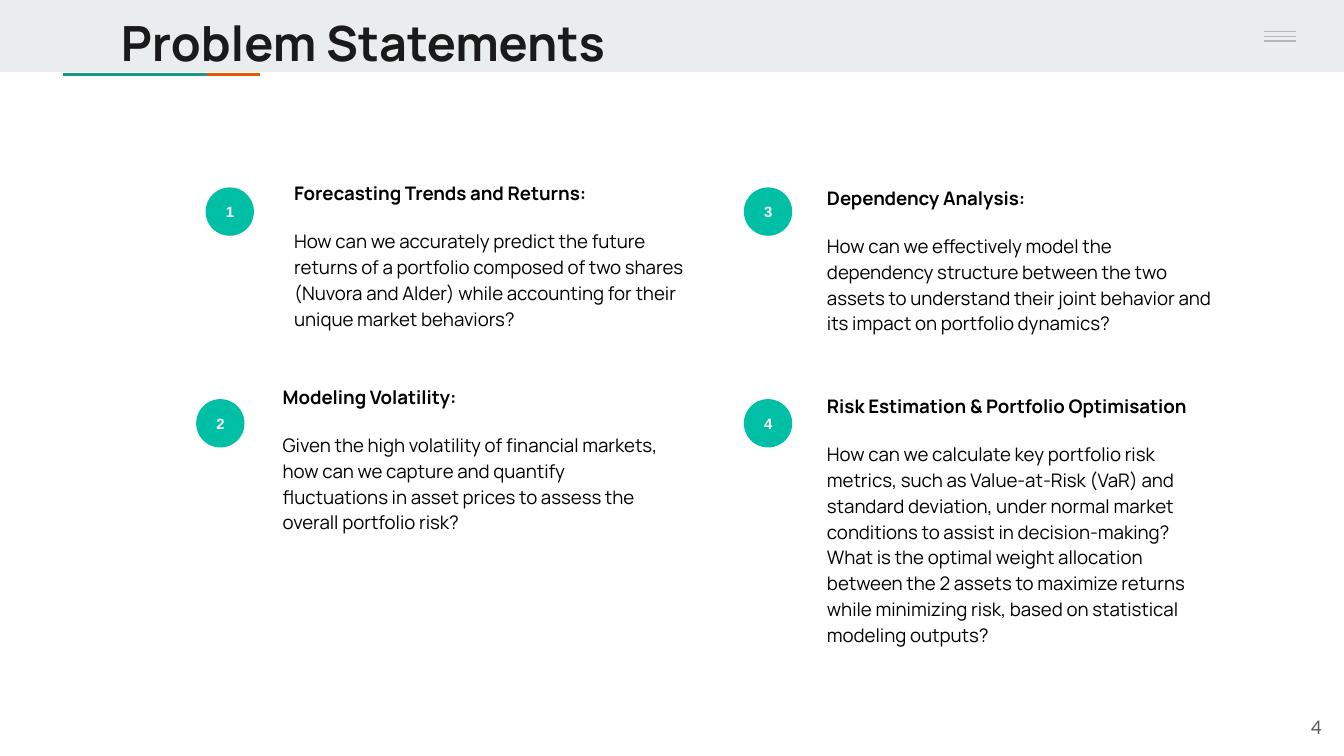
"""Build the Problem Statements slide."""
from dataclasses import dataclass

from lxml import etree
from pptx import Presentation
from pptx.dml.color import RGBColor
from pptx.enum.shapes import MSO_CONNECTOR, MSO_SHAPE
from pptx.enum.text import MSO_ANCHOR, MSO_AUTO_SIZE, PP_ALIGN
from pptx.oxml.ns import qn
from pptx.util import Emu, Pt

RECT, OVAL = MSO_SHAPE.RECTANGLE, MSO_SHAPE.OVAL
LINE = MSO_CONNECTOR.STRAIGHT
TOP, MIDDLE = MSO_ANCHOR.TOP, MSO_ANCHOR.MIDDLE
LEFT, CENTER, RIGHT = PP_ALIGN.LEFT, PP_ALIGN.CENTER, PP_ALIGN.RIGHT
FIXED = MSO_AUTO_SIZE.NONE
SCALE = 4572
WIDE, HIGH = 2000, 1125
PAD = 20
DOT = 72


@dataclass(frozen=True)
class Theme:
    """Colours, fonts and type sizes of the slide."""
    band: str = "E9EDEE"
    orange: str = "EB5600"
    green: str = "1A9988"
    rule: str = "B7B7B7"
    teal: str = "00BFA5"
    white: str = "FFFFFF"
    black: str = "000000"
    ink: str = "1A1A1A"
    grey: str = "595959"
    main: str = "Manrope"
    badge: str = "Arial"
    page: str = "Lato"
    title: int = 26
    body: int = 10
    small: int = 8


@dataclass(frozen=True)
class Box:
    """A place on the slide in px."""
    left: int
    top: int
    width: int
    height: int

    def emu(self) -> tuple:
        """Give the place in EMU."""
        return tuple(px(n) for n in (self.left, self.top, self.width, self.height))


@dataclass(frozen=True)
class Point:
    """A numbered problem with its badge and text."""
    dot: Box
    box: Box
    head: str
    text: str


THEME = Theme()
BARS = (
    (Box(0, 0, WIDE, 107), THEME.band),
    (Box(178, 109, 209, 4), THEME.orange),
    (Box(94, 109, 214, 4), THEME.green),
    (Box(1812, 0, 188, 100), THEME.band),
)
MENU = (47, 54, 61)
POINTS = (
    Point(Box(306, 279, DOT, DOT), Box(418, 246, 656, 246),
          "Forecasting Trends and Returns:",
          "How can we accurately predict the future returns of a portfolio "
          "composed of two shares (Nuvora and Alder) while accounting for "
          "their unique market behaviors?"),
    Point(Box(292, 594, DOT, DOT), Box(401, 549, 620, 230),
          "Modeling Volatility:",
          "Given the high volatility of financial markets, how can we capture "
          "and quantify fluctuations in asset prices to assess the overall "
          "portfolio risk?"),
    Point(Box(1107, 279, DOT, DOT), Box(1211, 253, 620, 230),
          "Dependency Analysis:",
          "How can we effectively model the dependency structure between the "
          "two assets to understand their joint behavior and its impact on "
          "portfolio dynamics?"),
    Point(Box(1107, 594, DOT, DOT), Box(1211, 563, 620, 230),
          "Risk Estimation & Portfolio Optimisation",
          "How can we calculate key portfolio risk metrics, such as "
          "Value-at-Risk (VaR) and standard deviation, under normal market "
          "conditions to assist in decision-making? What is the optimal weight "
          "allocation between the 2 assets to maximize returns while "
          "minimizing risk, based on statistical modeling outputs?"),
)


def px(n: int) -> Emu:
    """Turn px into EMU."""
    return Emu(n * SCALE)


def rgb(code: str) -> RGBColor:
    """Turn a hex code into a colour."""
    return RGBColor.from_string(code)


def frame(shape, anchor=TOP):
    """Set the insets, wrap and anchor of a shape's text frame."""
    area = shape.text_frame
    area.auto_size = FIXED
    area.word_wrap = True
    area.vertical_anchor = anchor
    area.margin_left = area.margin_right = px(PAD)
    area.margin_top = area.margin_bottom = px(PAD)
    return area


def write(area, text: str, *, size: int, color: str, font: str = THEME.main,
          bold: bool = False, align=LEFT, line: float = 1.0, gap: int = 0) -> None:
    """Write a paragraph, reusing the first one while it is empty."""
    para = area.paragraphs[0] if not area.text else area.add_paragraph()
    para.alignment = align
    para.line_spacing = line
    para.space_before = Pt(gap)
    run = para.add_run()
    run.text = text
    run.font.name = font
    run.font.size = Pt(size)
    run.font.bold = bold
    run.font.color.rgb = rgb(color)


def shape(slide, kind, box: Box, color: str):
    """Draw a plain filled shape."""
    item = slide.shapes.add_shape(kind, *box.emu())
    item.shadow.inherit = False
    item.fill.solid()
    item.fill.fore_color.rgb = rgb(color)
    item.line.fill.background()
    return item


def rule(slide, left: int, right: int, y: int) -> None:
    """Draw one thin level line."""
    item = slide.shapes.add_connector(LINE, px(left), px(y), px(right), px(y))
    item.line.color.rgb = rgb(THEME.rule)
    item.line.width = Pt(0.75)
    etree.SubElement(item.element.spPr, qn("a:effectLst"))


def head(slide, text: str) -> None:
    """Place the title in front of the band."""
    title = slide.shapes.title
    slide.shapes.element.append(title.element)
    title.left, title.top, title.width, title.height = Box(160, 0, 1682, 118).emu()
    write(frame(title), text, size=THEME.title, color=THEME.ink, bold=True)


def point(slide, num: int, item: Point) -> None:
    """Draw a numbered badge and its text."""
    dot = shape(slide, OVAL, item.dot, THEME.teal)
    write(frame(dot, MIDDLE), str(num), size=THEME.small, color=THEME.white,
          font=THEME.badge, bold=True, align=CENTER)
    area = frame(slide.shapes.add_textbox(*item.box.emu()))
    write(area, item.head, size=THEME.body, color=THEME.black, bold=True, line=1.15)
    write(area, item.text, size=THEME.body, color=THEME.black, line=1.15, gap=12)


def main() -> None:
    """Build and save the slide."""
    deck = Presentation()
    deck.slide_width, deck.slide_height = px(WIDE), px(HIGH)
    slide = deck.slides.add_slide(deck.slide_layouts[5])
    for box, color in BARS:
        shape(slide, RECT, box, color)
    for y in MENU:
        rule(slide, 1881, 1928, y)
    head(slide, "Problem Statements")
    for num, item in enumerate(POINTS, 1):
        point(slide, num, item)
    page = slide.shapes.add_textbox(*Box(1867, 1039, 120, 86).emu())
    write(frame(page, MIDDLE), "4", size=THEME.body, color=THEME.grey,
          font=THEME.page, align=RIGHT)
    deck.save("out.pptx")


if __name__ == "__main__":
    main()
